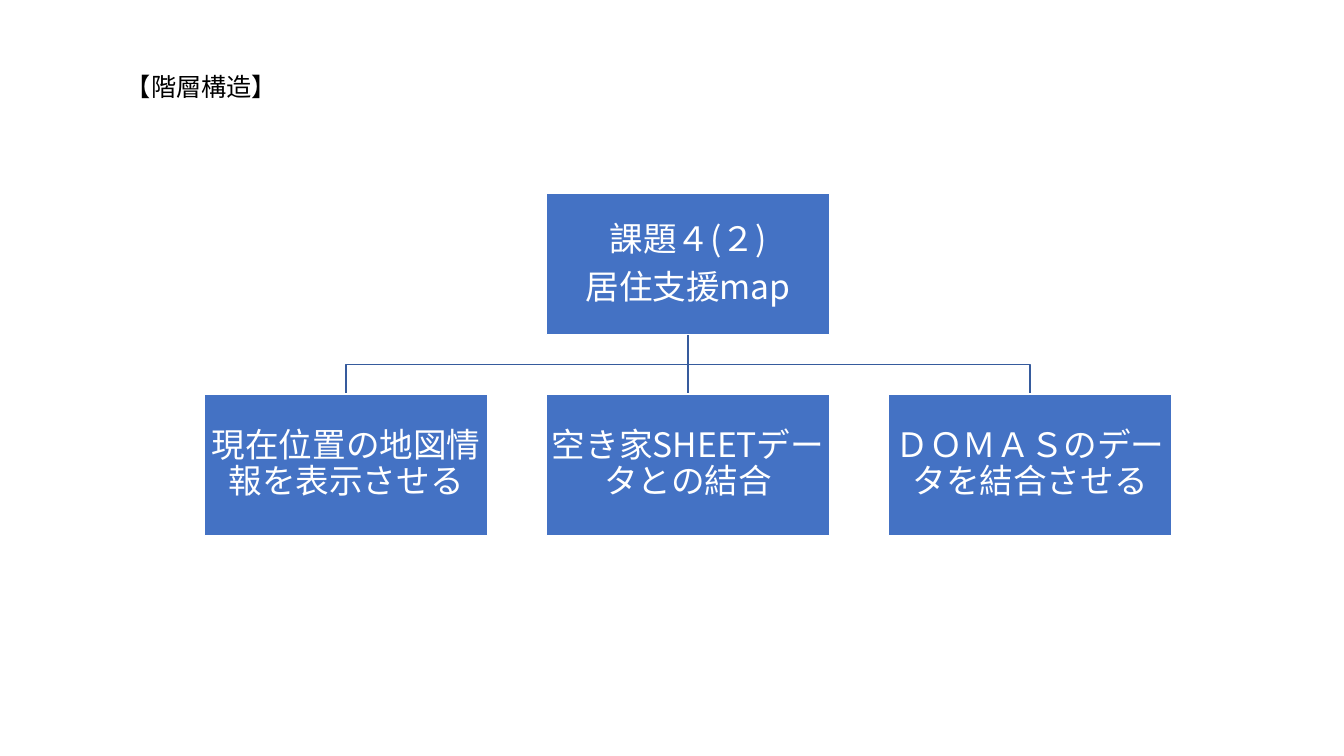
import pptx
import pptx.util
import pptx.dml.color
import pptx.enum.shapes
import pptx.enum.text
from lxml import etree
from pptx.oxml.ns import qn

Pt = pptx.util.Pt
RGB = pptx.dml.color.RGBColor
ALIGN = pptx.enum.text.PP_ALIGN
ANCHOR = pptx.enum.text.MSO_ANCHOR

HEAD = "【階層構造】"
ROOT = ["課題４(２)", "居住支援map"]
LEAVES = [
    ["現在位置の地図情報を表示させる"],
    ["空き家SHEETデータとの結合"],
    ["ＤＯＭＡＳのデータを結合させる"],
]

FONT = "Noto Sans CJK JP"
BLUE = RGB(0x44, 0x72, 0xC4)
NAVY = RGB(0x36, 0x5B, 0x9D)
WHITE = RGB(0xFF, 0xFF, 0xFF)
BLACK = RGB(0, 0, 0)

WIDE, HIGH = 202, 100.8
LEFT, STEP = 146.2, 244.3
TOP, LOW = 138.4, 281.6


def add_run(para, text, size, color):
    run = para.add_run()
    run.text = text
    run.font.size = Pt(size)
    run.font.name = FONT
    run.font.color.rgb = color
    east = etree.SubElement(run._r.get_or_add_rPr(), qn("a:ea"))
    east.set("typeface", FONT)


def set_frame(frame, inset_x, inset_y, anchor):
    frame.word_wrap = True
    frame.auto_size = pptx.enum.text.MSO_AUTO_SIZE.NONE
    frame.vertical_anchor = anchor
    frame.margin_left = frame.margin_right = Pt(inset_x)
    frame.margin_top = frame.margin_bottom = Pt(inset_y)


def add_box(slide, x, y, lines):
    box = slide.shapes.add_shape(
        pptx.enum.shapes.MSO_SHAPE.RECTANGLE, Pt(x), Pt(y), Pt(WIDE), Pt(HIGH))
    box.shadow.inherit = False
    box.fill.solid()
    box.fill.fore_color.rgb = BLUE
    box.line.color.rgb = WHITE
    box.line.width = Pt(1)
    frame = box.text_frame
    set_frame(frame, 1.2, 1.2, ANCHOR.MIDDLE)
    for i, text in enumerate(lines):
        para = frame.paragraphs[0] if i == 0 else frame.add_paragraph()
        para.alignment = ALIGN.CENTER
        para.line_spacing = 0.9
        para.space_after = Pt(8.4)
        add_run(para, text, 24, WHITE)


def add_branch(slide, start, end):
    (x1, y1), (x2, y2) = start, end
    if x1 == x2:
        branch = slide.shapes.add_connector(
            pptx.enum.shapes.MSO_CONNECTOR.STRAIGHT, Pt(x1), Pt(y1), Pt(x2), Pt(y2))
        etree.SubElement(branch._element.spPr, qn("a:effectLst"))
    else:
        mid = (y1 + y2) / 2
        path = slide.shapes.build_freeform(Pt(x1), Pt(y1))
        bends = [(x1, mid), (x2, mid), (x2, y2)]
        path.add_line_segments([(Pt(x), Pt(y)) for x, y in bends], close=False)
        branch = path.convert_to_shape()
        branch.fill.background()
        branch.shadow.inherit = False
    branch.line.color.rgb = NAVY
    branch.line.width = Pt(1)


def main():
    deck = pptx.Presentation()
    deck.slide_width, deck.slide_height = Pt(960), Pt(540)
    slide = deck.slides.add_slide(deck.slide_layouts[5])

    title = slide.shapes.title
    title.left, title.top = Pt(82.8), Pt(47.5)
    title.width, title.height = Pt(795), Pt(29)
    set_frame(title.text_frame, 7.2, 3.6, ANCHOR.TOP)
    para = title.text_frame.paragraphs[0]
    para.alignment = ALIGN.LEFT
    add_run(para, HEAD, 18, BLACK)

    spots = [LEFT + i * STEP for i in range(len(LEAVES))]
    root = sum(spots) / len(spots)
    for x in reversed(spots):
        add_branch(slide, (root + WIDE / 2, TOP + HIGH), (x + WIDE / 2, LOW))
    add_box(slide, root, TOP, ROOT)
    for x, lines in zip(spots, LEAVES):
        add_box(slide, x, LOW, lines)

    deck.save("out.pptx")


if __name__ == "__main__":
    main()
